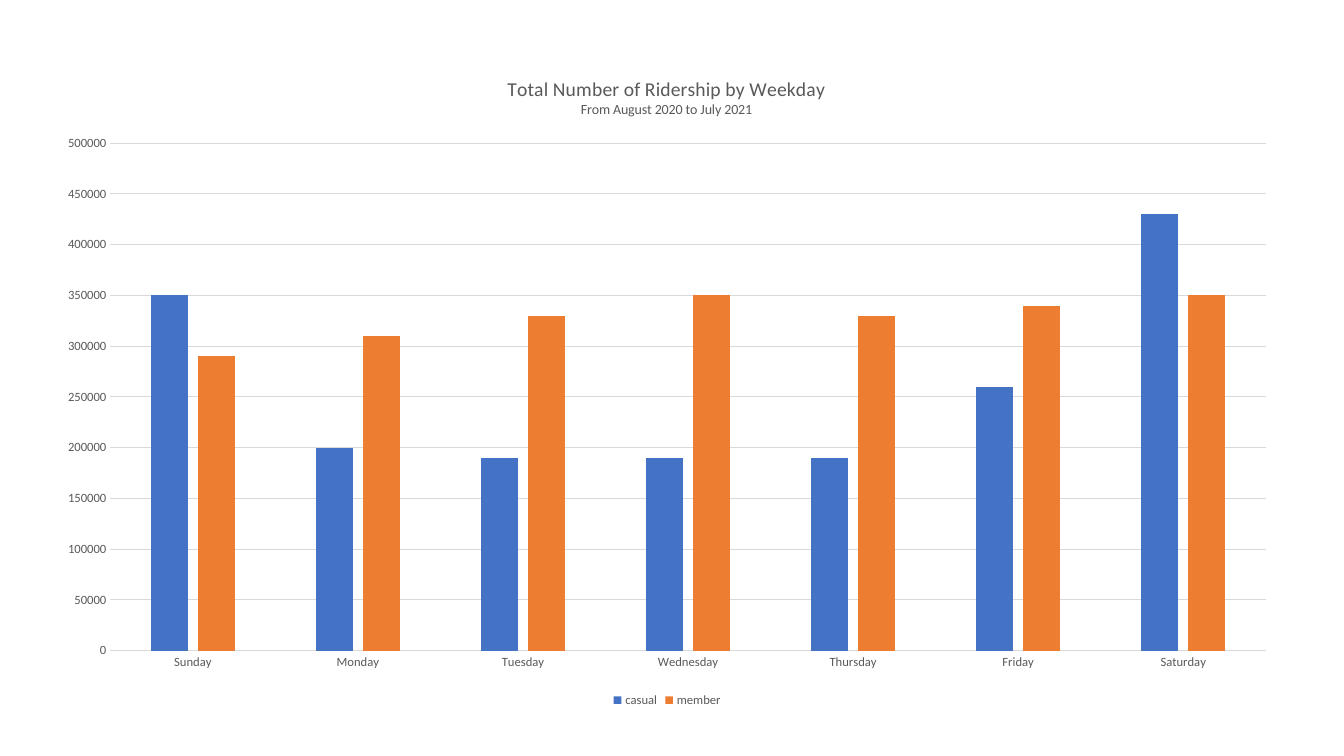
import dataclasses

import lxml.etree
import pptx
import pptx.chart.chart
import pptx.chart.data
import pptx.dml.color
import pptx.enum.chart
import pptx.oxml.ns
import pptx.slide
import pptx.text.text
import pptx.util

BLUE = pptx.dml.color.RGBColor(0x44, 0x72, 0xC4)
ORANGE = pptx.dml.color.RGBColor(0xED, 0x7D, 0x31)
GRAY = pptx.dml.color.RGBColor(0x59, 0x59, 0x59)
PALE = pptx.dml.color.RGBColor(0xD9, 0xD9, 0xD9)
FONT = "Calibri"
WIDE = pptx.util.Cm(31.45)
HIGH = pptx.util.Cm(16.56)
DAYS = ["Sunday", "Monday", "Tuesday", "Wednesday", "Thursday", "Friday", "Saturday"]


@dataclasses.dataclass(frozen=True)
class Rider:
    name: str
    color: pptx.dml.color.RGBColor
    rides: tuple[int, ...]


@dataclasses.dataclass(frozen=True)
class Line:
    text: str
    size: int


RIDERS = [
    Rider("casual", BLUE, (350000, 200000, 190000, 190000, 190000, 260000, 430000)),
    Rider("member", ORANGE, (290000, 310000, 330000, 350000, 330000, 340000, 350000)),
]
LINES = [
    Line("Total Number of Ridership by Weekday", 14),
    Line("From August 2020 to July 2021", 10),
]


def style(font: pptx.text.text.Font, size: int) -> None:
    font.name = FONT
    font.size = pptx.util.Pt(size)
    font.bold = False
    font.color.rgb = GRAY


def place(chart: pptx.chart.chart.Chart, part: str, spot: int, sides: dict[str, float]) -> None:
    qn = pptx.oxml.ns.qn
    node = chart._chartSpace.find(f".//{qn(part)}")
    for old in node.findall(qn("c:layout")):
        node.remove(old)
    frame = lxml.etree.Element(qn("c:layout"))
    box = lxml.etree.SubElement(frame, qn("c:manualLayout"))
    if "w" in sides:
        lxml.etree.SubElement(box, qn("c:layoutTarget")).set("val", "inner")
    for mode in ("xMode", "yMode"):
        lxml.etree.SubElement(box, qn(f"c:{mode}")).set("val", "edge")
    for tag, size in sides.items():
        whole = WIDE if tag in "xw" else HIGH
        lxml.etree.SubElement(box, qn(f"c:{tag}")).set("val", str(pptx.util.Cm(size) / whole))
    node.insert(spot, frame)


def add_title(chart: pptx.chart.chart.Chart) -> None:
    chart.has_title = True
    title = chart.chart_title
    title.include_in_layout = False
    frame = title.text_frame
    for index, line in enumerate(LINES):
        para = frame.add_paragraph() if index else frame.paragraphs[0]
        run = para.add_run()
        run.text = line.text
        style(run.font, line.size)
    place(chart, "c:title", 1, {"x": 11.62, "y": 0.45})


def set_axes(chart: pptx.chart.chart.Chart) -> None:
    days, count = chart.category_axis, chart.value_axis
    for axis in (days, count):
        axis.major_tick_mark = pptx.enum.chart.XL_TICK_MARK.NONE
        axis.minor_tick_mark = pptx.enum.chart.XL_TICK_MARK.NONE
        style(axis.tick_labels.font, 9)
    count.minimum_scale = 0
    count.maximum_scale = 500000
    count.major_unit = 50000
    count.format.line.fill.background()
    count.has_major_gridlines = True
    for rule in (days.format.line, count.major_gridlines.format.line):
        rule.color.rgb = PALE
        rule.width = pptx.util.Pt(0.75)


def add_chart(slide: pptx.slide.Slide) -> None:
    kind = pptx.enum.chart
    data = pptx.chart.data.CategoryChartData()
    data.categories = DAYS
    for rider in RIDERS:
        data.add_series(rider.name, rider.rides)
    left, top = pptx.util.Cm(1.09), pptx.util.Cm(1.37)
    chart = slide.shapes.add_chart(
        kind.XL_CHART_TYPE.COLUMN_CLUSTERED, left, top, WIDE, HIGH, data
    ).chart
    chart.font.name = FONT
    chart.font.size = pptx.util.Pt(10)
    plot = chart.plots[0]
    plot.gap_width = 219
    plot.overlap = -27
    plot.vary_by_categories = False
    for rider, bars in zip(RIDERS, plot.series):
        bars.format.fill.solid()
        bars.format.fill.fore_color.rgb = rider.color
        bars.format.line.fill.background()
    set_axes(chart)
    add_title(chart)
    chart.has_legend = True
    chart.legend.position = kind.XL_LEGEND_POSITION.BOTTOM
    chart.legend.include_in_layout = False
    style(chart.legend.font, 9)
    place(chart, "c:plotArea", 0, {"x": 1.69, "y": 2.24, "w": 29.12, "h": 12.79})


def main() -> None:
    deck = pptx.Presentation()
    deck.slide_width = pptx.util.Cm(33.87)
    deck.slide_height = pptx.util.Cm(19.05)
    add_chart(deck.slides.add_slide(deck.slide_layouts[6]))
    deck.save("out.pptx")


if __name__ == "__main__":
    main()
